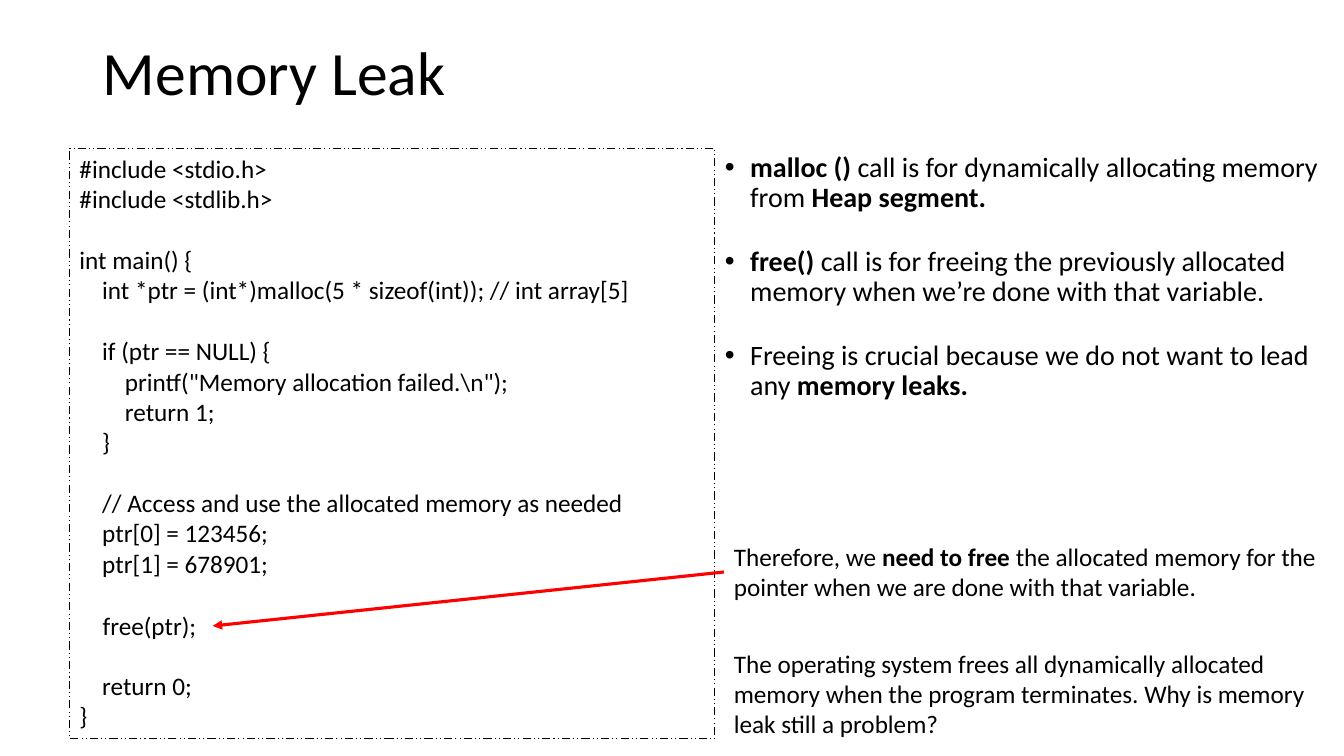
from pptx import Presentation
from pptx.dml.color import RGBColor
from pptx.enum.dml import MSO_LINE
from pptx.enum.shapes import MSO_CONNECTOR as Connector, MSO_SHAPE as Shape
from pptx.enum.text import MSO_ANCHOR as Anchor, MSO_AUTO_SIZE as AutoSize, PP_ALIGN as Align
from pptx.oxml.ns import qn
from pptx.util import Inches, Pt
from lxml.etree import SubElement

TITLE = [[("Memory Leak", False)]]
CODE = r'''#include <stdio.h>
#include <stdlib.h>

int main() {
    int *ptr = (int*)malloc(5 * sizeof(int)); // int array[5]

    if (ptr == NULL) {
        printf("Memory allocation failed.\n");
        return 1;
    }

    // Access and use the allocated memory as needed
    ptr[0] = 123456;
    ptr[1] = 678901;



    return 0;
}'''
FREE_CALL = [[("free(ptr);", False)]]
BULLETS = [
    [("malloc () ", True), ("call is for dynamically allocating memory from ", False),
     ("Heap segment.", True)],
    [("free() ", True),
     ("call is for freeing the previously allocated memory when we’re done with that variable.", False)],
    [("Freeing is crucial because we do not want to lead any ", False), ("memory leaks.", True)],
]
ADVICE = [[("Therefore, we ", False), ("need to free ", True),
           ("the allocated memory for the pointer when we are done with that variable.", False)]]
QUESTION = [[("The operating system frees all dynamically allocated memory when the program "
              "terminates. Why is memory leak still a problem?", False)]]

WIDTH, HEIGHT = 13.33, 7.5
CODE_LEFT, TEXT_LEFT, SPLIT, RIGHT = 0.69, 0.92, 7.09, 13.24
NOTE_LEFT = 7.18
CONTENT_TOP = 1.47
CODE_SIZE = 18
CODE_LINE = 22
ARROW_TIP = (2.11, 6.21)


def color(value):
    return RGBColor.from_string(value)


def area(left, top, right, bottom):
    return [Inches(n) for n in (left, top, right - left, bottom - top)]


def place(shape, *edges):
    shape.left, shape.top, shape.width, shape.height = area(*edges)


def write(shape, paragraphs, size, spacing=1.0, anchor=Anchor.TOP, bullet=False, gaps=None):
    frame = shape.text_frame
    frame.word_wrap = True
    frame.auto_size = AutoSize.NONE
    frame.vertical_anchor = anchor
    for index, spans in enumerate(paragraphs):
        para = frame.paragraphs[0] if index == 0 else frame.add_paragraph()
        para.alignment = Align.LEFT
        para.line_spacing = spacing
        para.space_before = Pt(gaps[index] if gaps else 0)
        para.space_after = Pt(0)
        if bullet:
            properties = para._p.get_or_add_pPr()
            properties.set("marL", str(Inches(0.25)))
            properties.set("indent", str(-Inches(0.25)))
            SubElement(properties, qn("a:buFont")).set("typeface", "Arial")
            SubElement(properties, qn("a:buChar")).set("char", "•")
        for words, bold in spans:
            span = para.add_run()
            span.text = words
            span.font.name = "Calibri"
            span.font.size = Pt(size)
            span.font.bold = bold
            span.font.color.rgb = color("000000")


def add_text(page, edges, paragraphs):
    box = page.shapes.add_textbox(*area(*edges))
    write(box, paragraphs, CODE_SIZE)
    return box


def code_lines(source):
    paragraphs, gaps, gap = [], [], 0
    for line in source.split("\n"):
        if line:
            paragraphs.append([(line, False)])
            gaps.append(gap)
            gap = 0
        else:
            gap += CODE_LINE
    return paragraphs, gaps


def add_code(page):
    box = page.shapes.add_shape(Shape.RECTANGLE, *area(CODE_LEFT, CONTENT_TOP, SPLIT, 7.33))
    box.shadow.inherit = False
    box.fill.background()
    box.line.color.rgb = color("000000")
    box.line.width = Pt(0.75)
    box.line.dash_style = MSO_LINE.DASH_DOT_DOT
    paragraphs, gaps = code_lines(CODE)
    write(box, paragraphs, CODE_SIZE, gaps=gaps)


def add_arrow(page, note):
    tip = [Inches(n) for n in ARROW_TIP]
    arrow = page.shapes.add_connector(
        Connector.STRAIGHT, note.left, note.top + note.height // 2, *tip)
    arrow.begin_connect(note, 1)
    arrow.line.color.rgb = color("FF0000")
    arrow.line.width = Pt(2.25)
    outline = arrow._element.spPr.find(qn("a:ln"))
    SubElement(outline, qn("a:tailEnd")).set("type", "triangle")
    SubElement(arrow._element.spPr, qn("a:effectLst"))


def main():
    deck = Presentation()
    deck.slide_width, deck.slide_height = Inches(WIDTH), Inches(HEIGHT)
    page = deck.slides.add_slide(deck.slide_layouts[1])
    title, body = page.placeholders

    place(title, TEXT_LEFT, 0.02, WIDTH - TEXT_LEFT, CONTENT_TOP)
    write(title, TITLE, 44, spacing=0.9, anchor=Anchor.MIDDLE)
    add_code(page)
    place(body, SPLIT, CONTENT_TOP, RIGHT, 7.02)
    write(body, BULLETS, 20, spacing=0.9, bullet=True, gaps=[0, 24, 24])

    advice = add_text(page, (NOTE_LEFT, 5.32, RIGHT, 6.03), ADVICE)
    add_arrow(page, advice)
    add_text(page, (NOTE_LEFT, 6.38, RIGHT, 7.39), QUESTION)
    add_text(page, (TEXT_LEFT, 6.01, 7.58, 6.41), FREE_CALL)
    deck.save("out.pptx")


if __name__ == "__main__":
    main()
